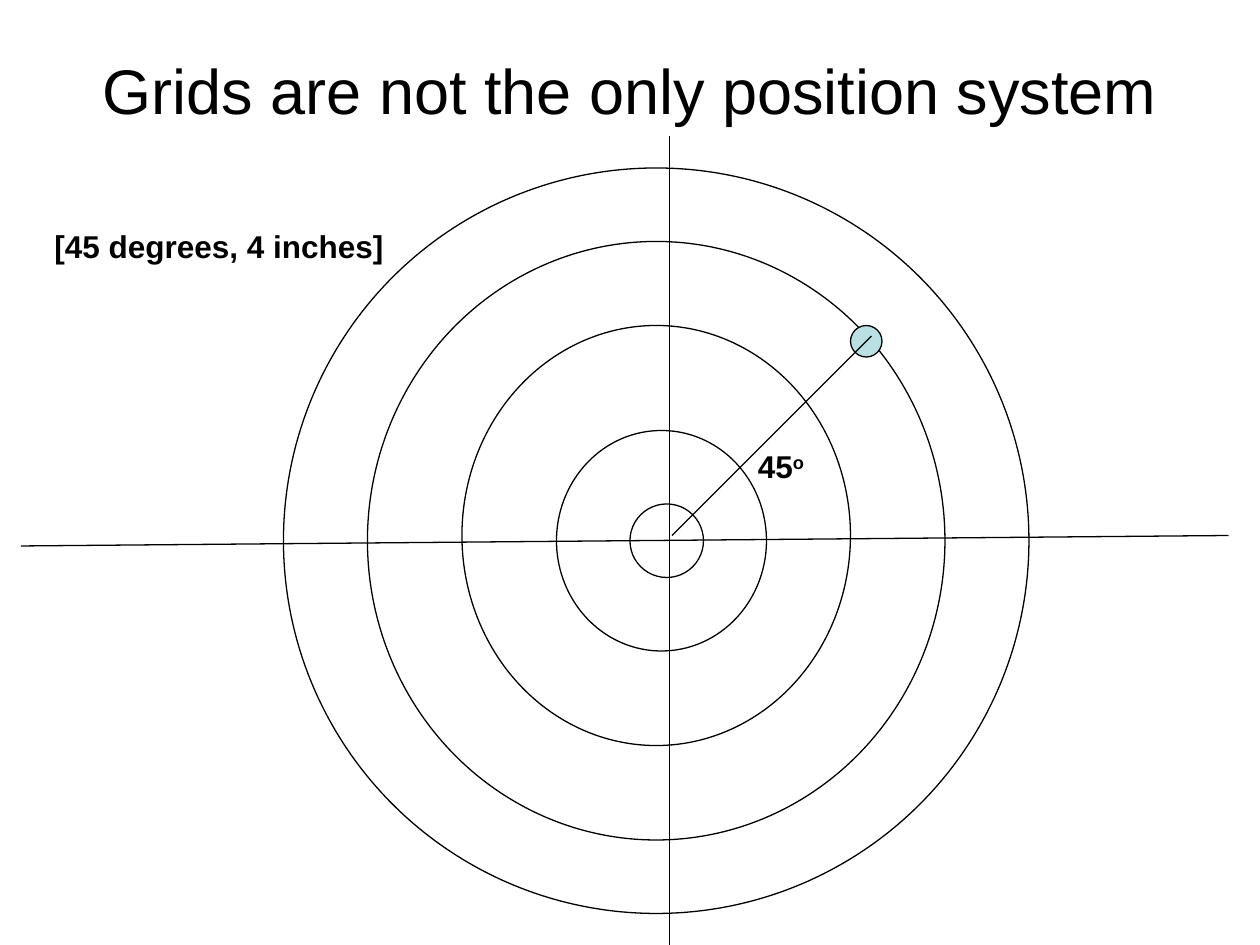
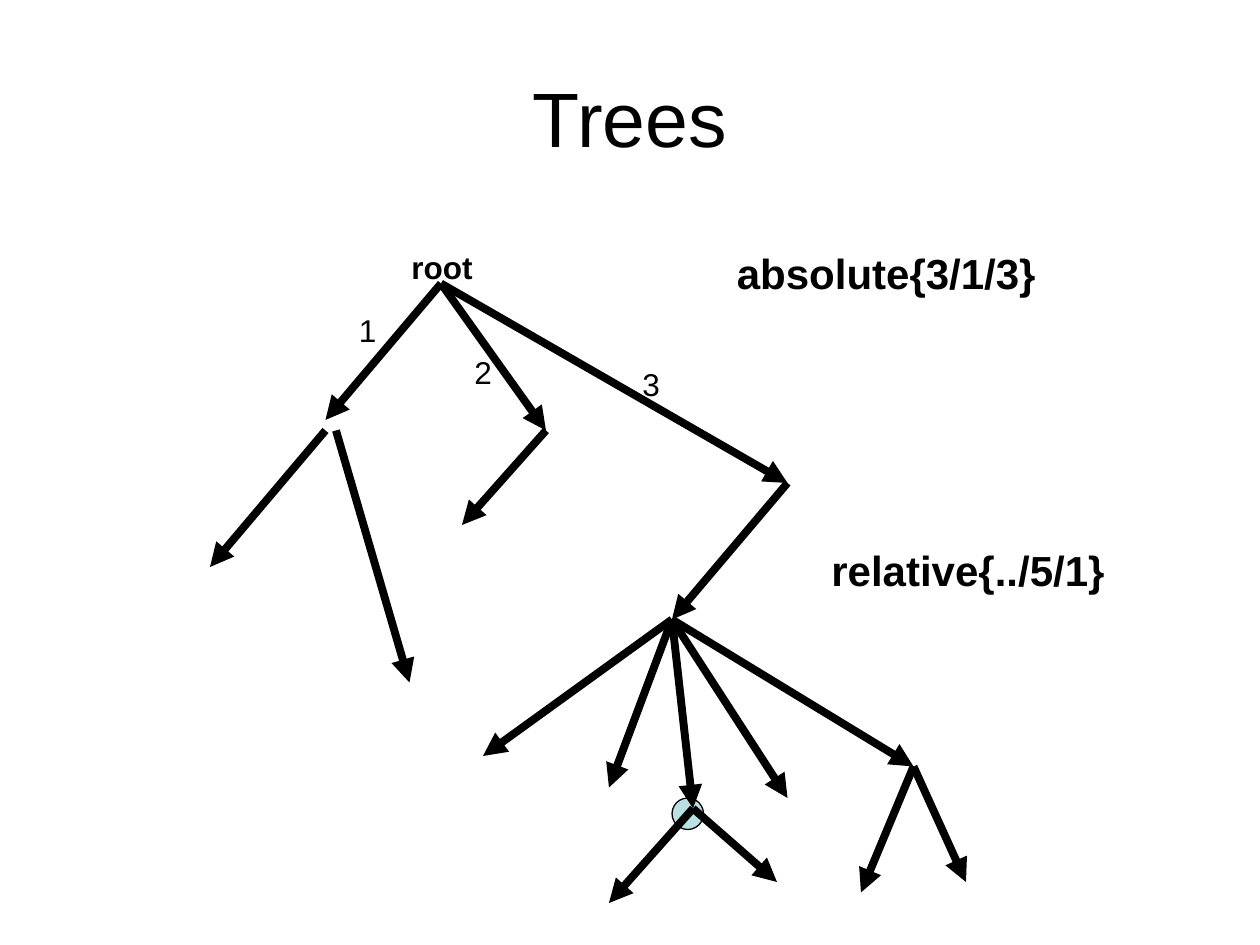
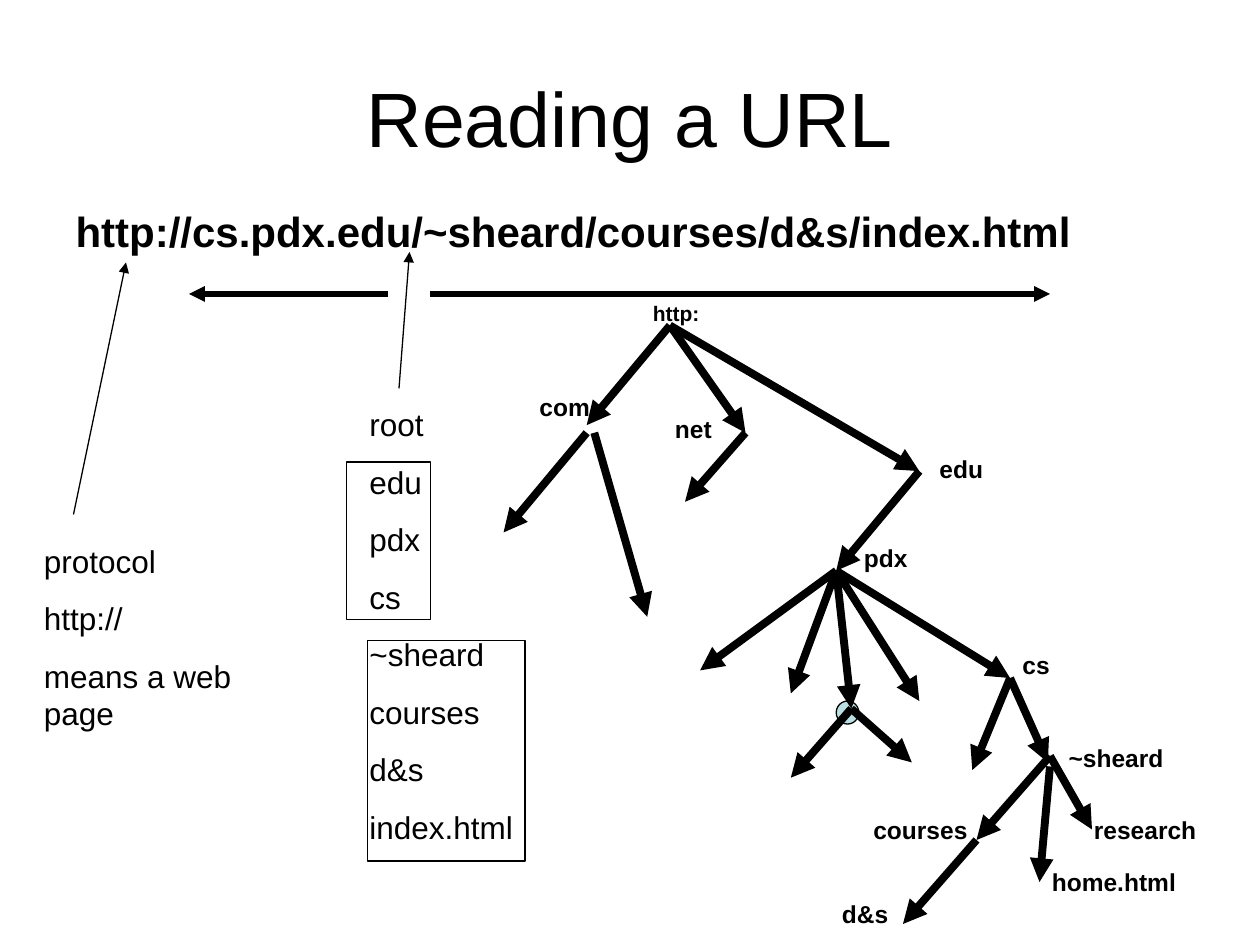
from lxml.etree import SubElement as Sub
from pptx import Presentation
from pptx.dml.color import RGBColor as Rgb
from pptx.enum.shapes import MSO_CONNECTOR as Link, MSO_SHAPE as Form
from pptx.enum.text import MSO_ANCHOR as Anchor, MSO_AUTO_SIZE as Fit, PP_ALIGN as Align
from pptx.oxml.ns import qn
from pptx.util import Inches, Pt

INK = {"line": "000000", "dot": "BBE0E3"}
FACE = "Arial"
CELL = Inches(1) // 12
THIN, MID, THICK = 0.75, 3, 4.5

ROOT = (42, 27)
DOT = (64, 76, 3)
EDGES = [
    (ROOT, [(31, 40), (52, 41), (75, 46)]),
    ((31, 41), [(20, 54)]),
    ((32, 41), [(39, 65)]),
    ((52, 41), [(44, 50)]),
    ((75, 46), [(64, 59)]),
    ((64, 59), [(46, 72), (58, 75), (66, 77), (75, 76), (87, 73)]),
    ((66, 77), [(58, 86), (74, 84)]),
    ((87, 73), [(82, 85), (92, 84)]),
]


def cells(*nums):
    """Turn grid counts of a twelfth of an inch into lengths."""
    return [round(num * CELL) for num in nums]


def tint(name):
    """Look up a colour by name."""
    return Rgb.from_string(INK[name])


def write(para, text, size, bold=False, raised=False):
    """Add one run of text to a paragraph."""
    run = para.add_run()
    run.text = text
    font = run.font
    font.name, font.size, font.bold = FACE, Pt(size), bold
    font.color.rgb = tint("line")
    if raised:
        run._r.get_or_add_rPr().set("baseline", "30000")


def place(shape, *box):
    """Move a placeholder to a box on the grid."""
    shape.left, shape.top, shape.width, shape.height = cells(*box)
    shape.text_frame.auto_size = Fit.NONE
    return shape.text_frame


def start(deck, layout, title, size=44, top=3.6):
    """Add a slide with its title."""
    slide = deck.slides.add_slide(deck.slide_layouts[layout])
    frame = place(slide.shapes.title, 6, top, 108, 15)
    frame.vertical_anchor = Anchor.MIDDLE
    para = frame.paragraphs[0]
    para.alignment = Align.CENTER
    write(para, title, size)
    return slide


def note(slide, left, top, width, rows, size=18, bold=False, high=None):
    """Add a text box with one paragraph for each row."""
    high = high or size / 5 + 1.2
    frame = slide.shapes.add_textbox(*cells(left, top, width, high)).text_frame
    frame.word_wrap = True
    for num, row in enumerate(rows):
        para = frame.add_paragraph() if num else frame.paragraphs[0]
        para.space_before = Pt(11.25 if num else 0)
        write(para, row, size, bold)
    return frame.paragraphs[0]


def outline(slide, form, left, top, wide, high, fill=None):
    """Add a thin-lined shape, filled or clear."""
    shape = slide.shapes.add_shape(form, *cells(left, top, wide, high))
    shape.shadow.inherit = False
    shape.line.color.rgb, shape.line.width = tint("line"), Pt(THIN)
    if fill:
        shape.fill.solid()
        shape.fill.fore_color.rgb = tint(fill)
    else:
        shape.fill.background()


def stroke(slide, head, tail, width=THIN, arrow=True):
    """Draw a straight line between two grid points."""
    line = slide.shapes.add_connector(Link.STRAIGHT, *cells(*head, *tail))
    line.line.color.rgb, line.line.width = tint("line"), Pt(width)
    if arrow:
        Sub(line.line._get_or_add_ln(), qn("a:tailEnd"), type="triangle")
    Sub(line._element.spPr, qn("a:effectLst"))


def tree(slide, root=ROOT, scale=(1, 1)):
    """Draw the tree from its root at a given scale."""
    def spot(node):
        return [at + (num - base) * by for num, base, at, by in zip(node, ROOT, root, scale)]

    left, top, size = DOT
    outline(slide, Form.OVAL, *spot((left, top)), size * scale[0], size * scale[1], "dot")
    for node, kids in EDGES:
        for kid in kids:
            stroke(slide, spot(node), spot(kid), THICK)


def polar(deck):
    """Build the slide on angle and distance."""
    slide = start(deck, 5, "Grids are not the only position system", 36, 1)
    rings = [(35, 23, 55, 57), (44, 31, 37, 40), (53, 41, 20, 21), (60, 48, 7, 7), (27, 16, 71, 71)]
    for ring in rings:
        outline(slide, Form.OVAL, *ring)
    stroke(slide, (2, 52), (117, 51), arrow=False)
    stroke(slide, (63.75, 13), (63.75, 90), arrow=False)
    outline(slide, Form.OVAL, 81, 31, 3, 3, "dot")
    stroke(slide, (64, 51), (83, 32), arrow=False)
    angle = note(slide, 71, 42, 10, ["45"], bold=True)
    write(angle, "o", 18, True, raised=True)
    note(slide, 4, 21, 35, ["[45 degrees, 4 inches]"], bold=True)


def trees(deck):
    """Build the slide on tree positions."""
    slide = start(deck, 5, "Trees")
    note(slide, 38, 23, 9, ["root"], bold=True)
    tree(slide)
    note(slide, 69, 23, 40, ["absolute{3/1/3}"], 24, True)
    note(slide, 78, 51.25, 40, ["relative{../5/1}"], 24, True)
    for mark, left, top in [("1", 33, 29), ("2", 44, 33), ("3", 60, 34.2)]:
        note(slide, left, top, 4, [mark])


def address(deck):
    """Build the slide on the parts of a web address."""
    slide = start(deck, 1, "Reading a URL")
    para = place(slide.placeholders[1], 6, 19, 111, 7).paragraphs[0]
    props = para._p.get_or_add_pPr()
    props.set("marL", str(Inches(0.38)))
    props.set("indent", str(-Inches(0.38)))
    Sub(props, qn("a:buNone"))
    para.space_before = Pt(0)
    write(para, "http://cs.pdx.edu/~sheard/courses/d&s/index.html", 24, True)

    stroke(slide, (7, 49), (12, 25))
    note(slide, 3, 51, 22, ["protocol", "http://", "means a web page"], high=19.4)
    stroke(slide, (41, 28), (100, 28), MID)
    stroke(slide, (37, 28), (18, 28), MID)
    stroke(slide, (38, 37), (39, 24))
    parts = ["root", "edu", "pdx", "cs", "~sheard", "courses", "d&s", "index.html"]
    note(slide, 34, 38, 32, parts, high=48.6)

    note(slide, 61, 28, 13, ["http:"], 12, True)
    tree(slide, (63.8, 31), (0.72, 0.73))
    twigs = [
        ((100, 72), (93, 80)), ((100, 72), (104, 79)),
        ((93, 80), (86, 88)), ((100, 73), (99, 84)),
    ]
    for twig in twigs:
        stroke(slide, *twig, THICK)
    names = [
        ("com", 50.2, 36.7, 7.2), ("net", 63.1, 38.8, 7.2), ("edu", 88.3, 42.6, 7.2),
        ("pdx", 81.1, 51.1, 7.2), ("cs", 96.2, 61.3, 7.2), ("~sheard", 100.6, 70.2, 14.4),
        ("d&s", 79, 85, 12), ("courses", 82, 77, 12), ("research", 103, 77, 14),
        ("home.html", 99, 82, 17),
    ]
    for name, left, top, width in names:
        note(slide, left, top, width, [name], 14, True)
    for box in [(33, 44, 8, 15), (35, 61, 15, 21)]:
        outline(slide, Form.RECTANGLE, *box)


def main():
    """Build and save the deck."""
    deck = Presentation()
    deck.slide_width, deck.slide_height = cells(120, 90)
    for build in (polar, trees, address):
        build(deck)
    deck.save("out.pptx")


if __name__ == "__main__":
    main()
